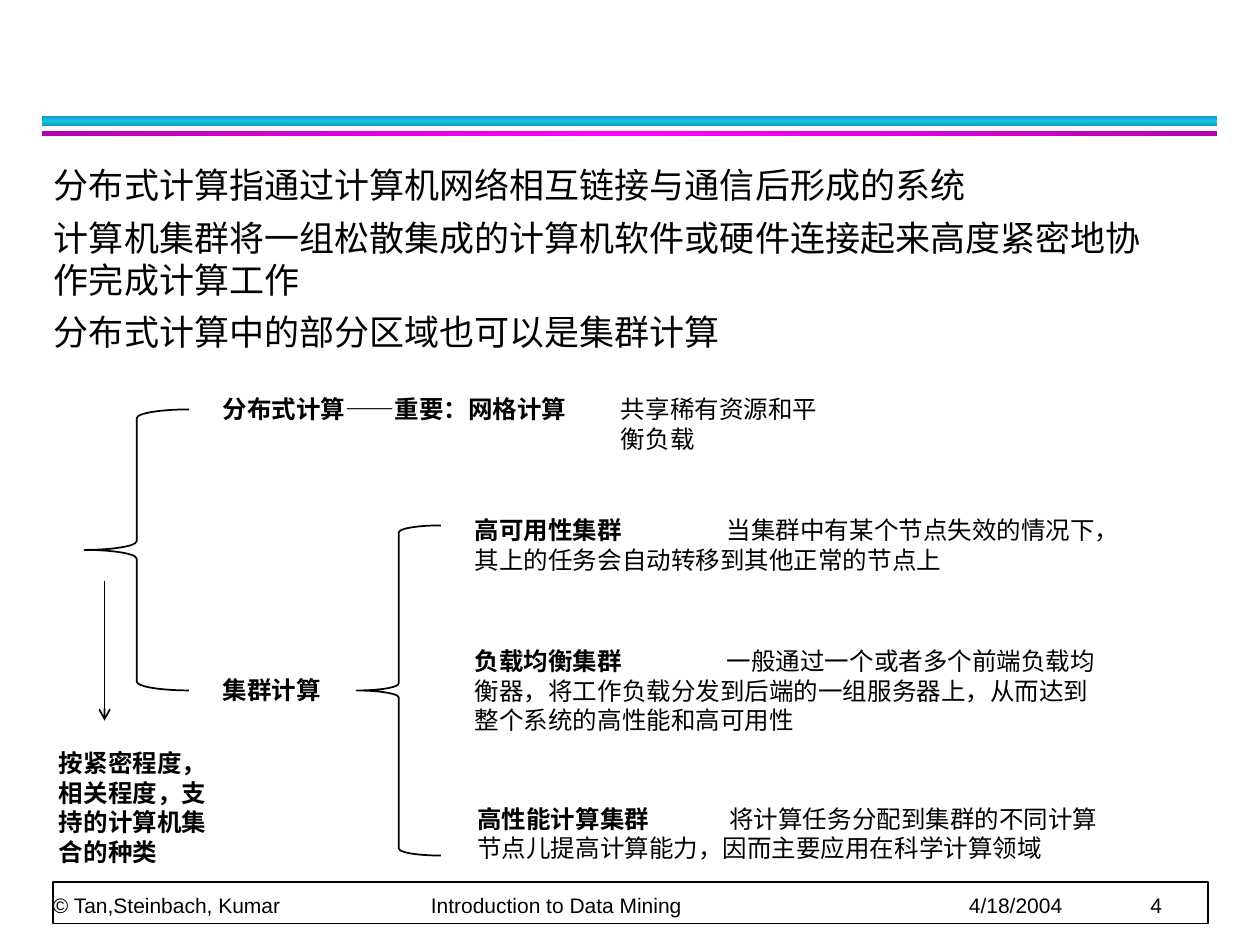
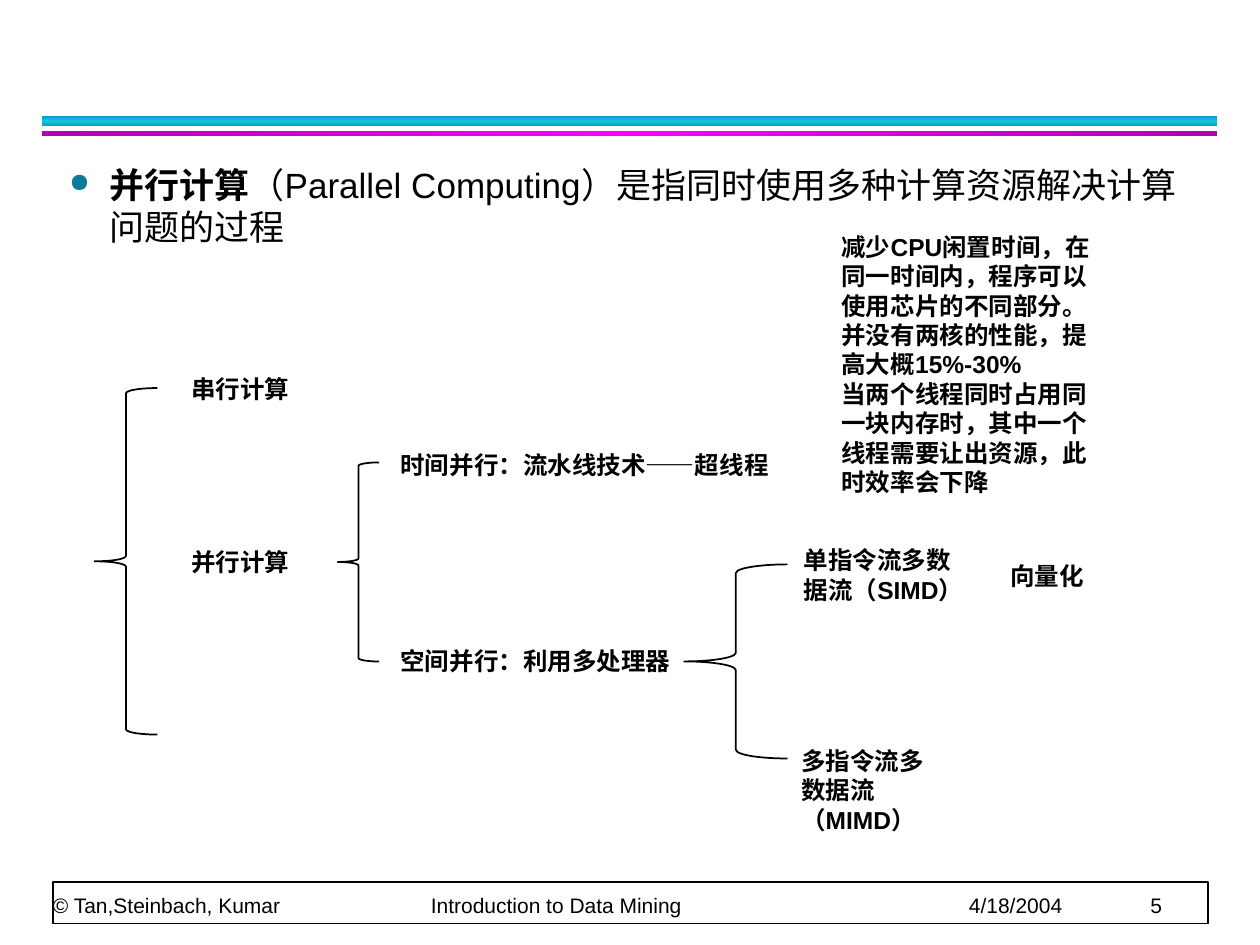
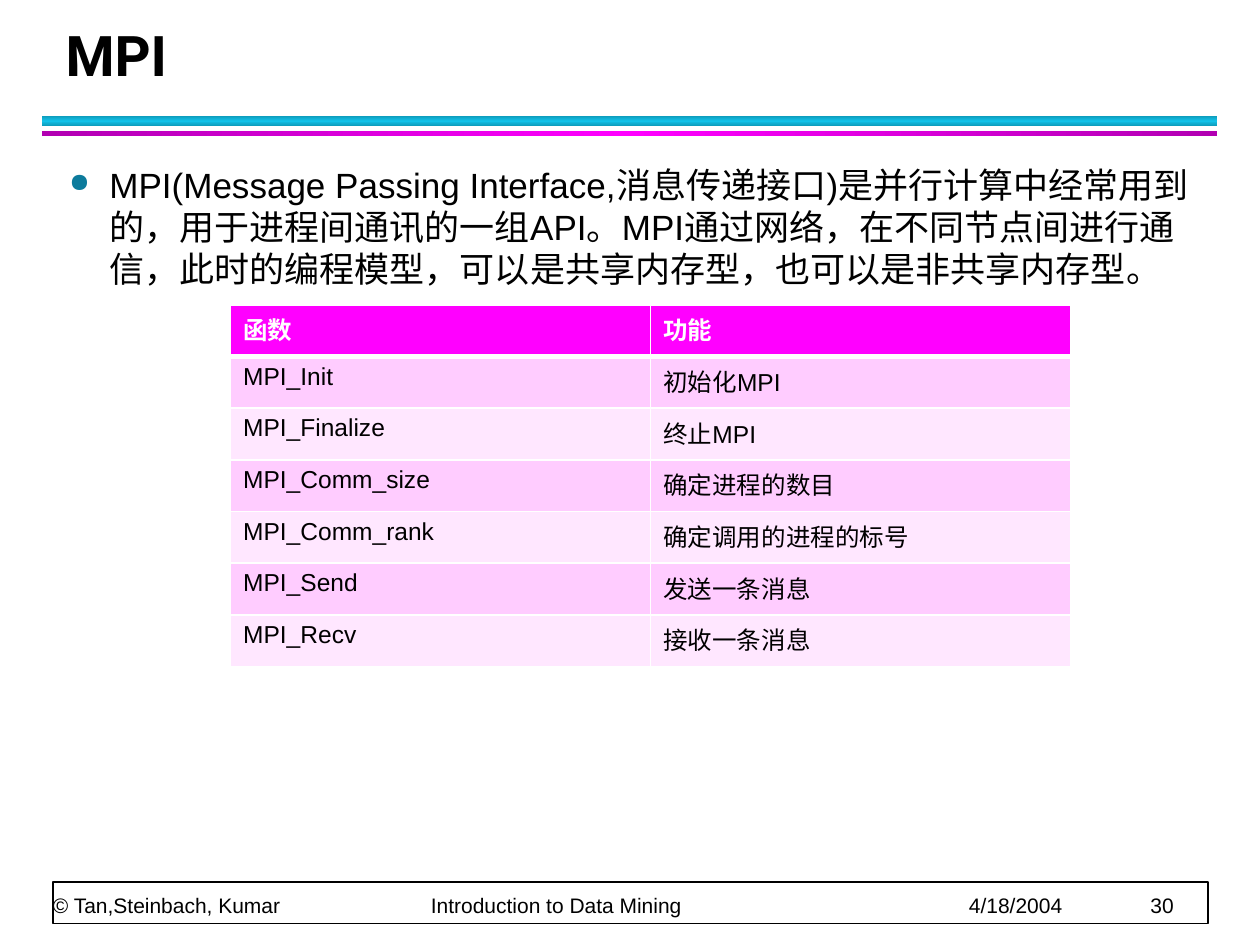
"""Builds three slides on distributed, cluster and parallel computing."""
from copy import deepcopy

from lxml import etree
from pptx import Presentation
from pptx import util as u
from pptx.dml.color import RGBColor
from pptx.enum import shapes, text
from pptx.oxml.ns import qn

COLORS = {
    "black": "000000", "white": "FFFFFF", "bullet": "0C7B9C",
    "cyan": "12C2E9", "dark_cyan": "0E9BBA",
    "magenta": "FF00FF", "dark_magenta": "B200B2",
    "row_dark": "FFCCFF", "row_light": "FFE7FF",
}
BODY = {"space_before": u.Pt(2), "space_after": u.Pt(4)}


def rgb(name):
    return RGBColor.from_string(COLORS[name])


def assign(obj, values):
    for name, value in values.items():
        setattr(obj, name, value)


def child(parent, tag, **attrs):
    return etree.SubElement(parent, qn(tag), attrs)


def inches(*lengths):
    return [u.Inches(n) for n in lengths]


class Deck:
    def __init__(self):
        self.prs = Presentation()
        assign(self.prs, {"slide_width": u.Inches(10), "slide_height": u.Inches(7.5)})
        self.s = None

    def slide(self, number, title=None):
        self.s = self.prs.slides.add_slide(self.prs.slide_layouts[5 if title else 6])
        self.band(0.92, 0.08, "dark_cyan", "cyan", 90)
        self.band(1.04, 0.04, "dark_magenta", "magenta", 0)
        self.shape("RECTANGLE", 0.42, 7, 9.17, 0.33)
        tf = self.box(0.42, 7, 9.15, 0.28)
        assign(tf, {"margin_left": 0, "margin_top": 0, "margin_right": 0,
                    "margin_bottom": 0, "vertical_anchor": text.MSO_ANCHOR.BOTTOM})
        footer = f"© Tan,Steinbach, Kumar\tIntroduction to Data Mining\t4/18/2004\t{number}"
        self.fill_text(tf, [[(footer, False)]], 12, {"line_spacing": u.Pt(20)})
        self.tabs(tf, 3, 7.27, 8.71)
        if title:
            self.title(title)

    def title(self, title):
        sp = self.s.shapes.title
        sp.left, sp.top, sp.width, sp.height = inches(0.42, 0.17, 9.06, 0.58)
        assign(sp.text_frame, {"vertical_anchor": text.MSO_ANCHOR.BOTTOM,
                               "auto_size": text.MSO_AUTO_SIZE.NONE})
        self.fill_text(sp.text_frame, [[(title, True)]], 32,
                       {"line_spacing": u.Pt(36), "alignment": text.PP_ALIGN.LEFT}, "Roboto")

    def shape(self, kind, *at):
        sp = self.s.shapes.add_shape(getattr(shapes.MSO_SHAPE, kind), *inches(*at))
        sp.shadow.inherit = False
        sp.fill.solid()
        sp.fill.fore_color.rgb = rgb("white")
        sp.line.color.rgb = rgb("black")
        sp.line.width = u.Pt(1)
        return sp

    def brace(self, *at):
        self.shape("LEFT_BRACE", *at)

    def band(self, top, height, edge, middle, angle):
        sp = self.shape("RECTANGLE", 0.33, top, 9.33, height)
        sp.line.fill.background()
        sp.fill.gradient()
        sp.fill.gradient_angle = angle
        stops = sp._element.spPr.find(".//" + qn("a:gsLst"))
        stops.insert(1, deepcopy(stops[0]))
        stops[1].set("pos", "50000")
        for stop, color in zip(sp.fill.gradient_stops, (edge, middle, edge)):
            stop.color.rgb = rgb(color)

    def box(self, *at, wrap=True, grow=True):
        tf = self.s.shapes.add_textbox(*inches(*at)).text_frame
        size = text.MSO_AUTO_SIZE
        assign(tf, {"word_wrap": wrap,
                    "auto_size": size.SHAPE_TO_FIT_TEXT if grow else size.NONE})
        return tf

    def fill_text(self, tf, paragraphs, size, layout=None, font="Arial", color="black"):
        for i, runs in enumerate(paragraphs):
            p = tf.add_paragraph() if i else tf.paragraphs[0]
            assign(p, layout or {})
            for words, bold in runs:
                r = p.add_run()
                r.text = words
                assign(r.font, {"name": font, "size": u.Pt(size), "bold": bold})
                r.font.color.rgb = rgb(color)

    def tabs(self, tf, *stops):
        tab_list = child(tf.paragraphs[0]._p.get_or_add_pPr(), "a:tabLst")
        for stop in stops:
            child(tab_list, "a:tab", pos=str(u.Inches(stop)), algn="l")

    def label(self, at, *lines, bold=True, wrap=True):
        self.fill_text(self.box(*at, wrap=wrap), [[(line, bold)] for line in lines], 14)

    def term(self, at, name, detail):
        tf = self.box(*at)
        self.fill_text(tf, [[(name + "\t", True), (detail, False)]], 14)
        self.tabs(tf, 2)

    def body(self, at, paragraphs):
        tf = self.box(*at, grow=False)
        self.fill_text(tf, paragraphs, 20, BODY)
        return tf

    def bullet(self, height, *runs):
        pPr = self.body((0.45, 1.25, 9.1, height), [runs]).paragraphs[0]._p.get_or_add_pPr()
        pPr.set("marL", str(u.Inches(0.32)))
        pPr.set("indent", str(u.Inches(-0.32)))
        child(child(pPr, "a:buClr"), "a:srgbClr", val=COLORS["bullet"])
        child(pPr, "a:buSzPct", val="75000")
        child(pPr, "a:buChar", char="●")

    def arrow(self, *ends):
        sp = self.s.shapes.add_connector(shapes.MSO_CONNECTOR.STRAIGHT, *inches(*ends))
        sp.line.color.rgb = rgb("black")
        sp.line.width = u.Pt(1)
        child(sp._element.spPr.find(qn("a:ln")), "a:tailEnd", type="arrow")
        child(sp._element.spPr, "a:effectLst")

    def table(self, at, rows, row_height):
        height = row_height * len(rows)
        table = self.s.shapes.add_table(len(rows), len(rows[0]), *inches(*at, height)).table
        for i, row in enumerate(rows):
            table.rows[i].height = u.Inches(row_height)
            fill = ("row_light", "row_dark")[i % 2] if i else "magenta"
            for j, words in enumerate(row):
                cell = table.cell(i, j)
                self.borders(cell, {"L": 1, "R": 1, "T": 3 if i == 1 else 1,
                                    "B": 1 if i else 3})
                cell.fill.solid()
                cell.fill.fore_color.rgb = rgb(fill)
                self.fill_text(cell.text_frame, [[(words, i == 0)]], 14,
                               color="black" if i else "white")

    def borders(self, cell, widths):
        tcPr = cell._tc.get_or_add_tcPr()
        for side, width in widths.items():
            ln = child(tcPr, "a:ln" + side, w=str(u.Pt(width)))
            child(child(ln, "a:solidFill"), "a:srgbClr", val=COLORS["white"])


def cluster_slide(deck):
    deck.slide(4)
    deck.body((0.33, 1.25, 9.1, 1.58), [
        [("分布式计算指通过计算机网络相互链接与通信后形成的系统", False)],
        [("计算机集群将一组松散集成的计算机软件或硬件连接起来高度紧密地协作完成计算工作", False)],
        [("分布式计算中的部分区域也可以是集群计算", False)],
    ])
    deck.brace(0.67, 3.25, 0.83, 2.23)
    deck.label((1.67, 3.08, 3, 0.34), "分布式计算——重要：网格计算")
    deck.label((1.67, 5.31, 1.17, 0.34), "集群计算")
    deck.label((4.83, 3.08, 1.92, 0.57), "共享稀有资源和平衡负载", bold=False)
    deck.brace(2.83, 4.17, 0.67, 2.62)
    deck.term((3.67, 4.04, 5.5, 0.57), "高可用性集群",
              "当集群中有某个节点失效的情况下，其上的任务会自动转移到其他正常的节点上")
    deck.term((3.67, 5.08, 5.17, 0.81), "负载均衡集群",
              "一般通过一个或者多个前端负载均衡器，将工作负载分发到后端的一组服务器上，"
              "从而达到整个系统的高性能和高可用性")
    deck.term((3.69, 6.33, 5.2, 0.57), "高性能计算集群",
              "将计算任务分配到集群的不同计算节点儿提高计算能力，因而主要应用在科学计算领域")
    deck.label((0.37, 5.89, 1.43, 1.04), "按紧密程度，相关程度，支持的计算机集合的种类")
    deck.arrow(0.83, 4.61, 0.83, 5.72)


def parallel_slide(deck):
    deck.slide(5)
    deck.bullet(5.67, ("并行计算", True),
                ("（Parallel Computing）是指同时使用多种计算资源解决计算问题的过程", False))
    deck.brace(0.75, 3.08, 0.5, 2.75)
    deck.label((1.42, 2.92, 1.67, 0.34), "串行计算")
    deck.label((1.42, 4.29, 0.99, 0.34), "并行计算", wrap=False)
    deck.brace(2.68, 3.67, 0.33, 1.58)
    deck.label((3.08, 3.52, 3.17, 0.34), "时间并行：流水线技术——超线程")
    deck.label((3.08, 5.08, 2.36, 0.34), "空间并行：利用多处理器", wrap=False)
    deck.label((6.58, 1.79, 2.33, 2.22),
               "减少CPU闲置时间，在同一时间内，程序可以使用芯片的不同部分。",
               "并没有两核的性能，提高大概15%-30%",
               "当两个线程同时占用同一块内存时，其中一个线程需要让出资源，此时效率会下降")
    deck.brace(5.43, 4.48, 0.82, 1.54)
    deck.label((6.28, 4.28, 1.47, 0.57), "单指令流多数据流（SIMD）")
    deck.label((6.26, 5.87, 1.34, 0.81), "多指令流多数据流（MIMD）")
    deck.label((7.92, 4.4, 0.79, 0.34), "向量化", wrap=False)


def mpi_slide(deck):
    deck.slide(30, "MPI")
    deck.bullet(1.17, (
        "MPI(Message Passing Interface,消息传递接口)是并行计算中经常用到的，"
        "用于进程间通讯的一组API。MPI通过网络，在不同节点间进行通信，"
        "此时的编程模型，可以是共享内存型，也可以是非共享内存型。", False))
    deck.table((1.83, 2.42, 6.67), [
        ("函数", "功能"),
        ("MPI_Init", "初始化MPI"),
        ("MPI_Finalize", "终止MPI"),
        ("MPI_Comm_size", "确定进程的数目"),
        ("MPI_Comm_rank", "确定调用的进程的标号"),
        ("MPI_Send", "发送一条消息"),
        ("MPI_Recv", "接收一条消息"),
    ], 0.41)


def main():
    deck = Deck()
    cluster_slide(deck)
    parallel_slide(deck)
    mpi_slide(deck)
    deck.prs.save("out.pptx")


if __name__ == "__main__":
    main()
